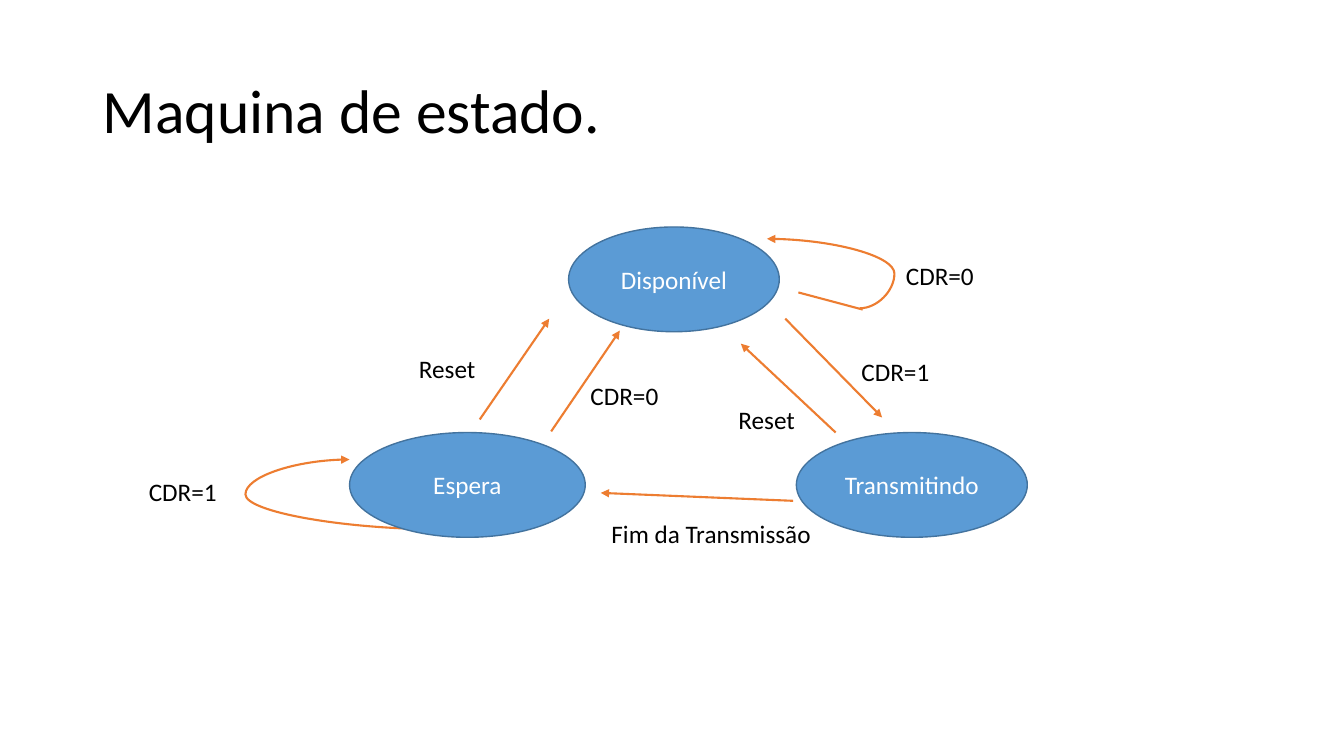
from lxml.etree import SubElement
from pptx import Presentation
from pptx.dml.color import RGBColor
from pptx.enum.shapes import MSO_CONNECTOR, MSO_SHAPE
from pptx.enum.text import MSO_ANCHOR, MSO_AUTO_SIZE, PP_ALIGN
from pptx.oxml.ns import qn
from pptx.util import Cm, Pt

COLORS = {"text": "000000", "light": "FFFFFF", "state": "5B9BD5",
          "edge": "43739E", "arrow": "ED7D31"}
FONT = "Calibri"

# Lengths in cm, measured from the corner of the diagram
STATES = [("Disponível", 10.83, 0, 5.31),
          ("Transmitindo", 16.57, 5.18, 5.82),
          ("Espera", 5.31, 5.18, 5.94)]
ARROWS = [((8.59, 4.85), (10.34, 2.31)),
          ((17.56, 5.18), (15.17, 2.94)),
          ((10.39, 5.15), (12.12, 2.61)),
          ((16.29, 2.31), (18.73, 4.8)),
          ((16.49, 6.9), (11.64, 6.7))]
STUB = ((18.24, 2.08), (16.62, 1.65))
LOOPS = [((18.17, 2.05), (15.83, 0.3), -37300),
         ((7.65, 7.62), (5.31, 5.86), 212100)]
LABELS = [("Reset", 6.81, 3.07, 1.96),
          ("CDR=0", 19.08, 0.71, 2.24),
          ("Reset", 14.86, 4.34, 1.96),
          ("CDR=1", 17.96, 3.14, 2.24),
          ("CDR=0", 11.13, 3.75, 2.24),
          ("CDR=1", 0, 6.17, 2.24),
          ("Fim da Transmissão", 11.66, 7.21, 5.59)]


def color(name):
    return RGBColor.from_string(COLORS[name])


def write(frame, text, size, ink):
    frame.text = text
    par = frame.paragraphs[0]
    par.font.name = FONT
    par.font.size = Pt(size)
    par.font.color.rgb = color(ink)
    return par


def add_title(slide, left, top, width, height):
    title = slide.shapes.title
    title.left, title.top = Cm(left), Cm(top)
    title.width, title.height = Cm(width), Cm(height)
    frame = title.text_frame
    frame.vertical_anchor = MSO_ANCHOR.MIDDLE
    par = write(frame, "Maquina de estado.", 44, "text")
    par.alignment = PP_ALIGN.LEFT
    par.line_spacing = 0.9


def add_state(slide, text, left, top, width):
    oval = slide.shapes.add_shape(MSO_SHAPE.OVAL, Cm(left), Cm(top),
                                  Cm(width), Cm(2.64))
    oval.shadow.inherit = False
    oval.fill.solid()
    oval.fill.fore_color.rgb = color("state")
    oval.line.color.rgb = color("edge")
    oval.line.width = Pt(1)
    oval.text_frame.vertical_anchor = MSO_ANCHOR.MIDDLE
    par = write(oval.text_frame, text, 18, "light")
    par.alignment = PP_ALIGN.CENTER


def add_label(slide, text, left, top, width):
    box = slide.shapes.add_textbox(Cm(left), Cm(top), Cm(width), Cm(1.02))
    box.text_frame.word_wrap = False
    box.text_frame.auto_size = MSO_AUTO_SIZE.SHAPE_TO_FIT_TEXT
    write(box.text_frame, text, 18, "text")


def add_line(slide, x, y, start, end, head=True, bend=None):
    """Draw a line from start to end; bend is the curve's adjustment."""
    kind = MSO_CONNECTOR.STRAIGHT if bend is None else MSO_CONNECTOR.CURVE
    line = slide.shapes.add_connector(
        kind, Cm(x + start[0]), Cm(y + start[1]),
        Cm(x + end[0]), Cm(y + end[1]))
    line.line.color.rgb = color("arrow")
    line.line.width = Pt(1.5)
    props = line._element.spPr
    if head:
        SubElement(props.find(qn("a:ln")), qn("a:tailEnd"), type="triangle")
    if bend is not None:
        guides = props.find(qn("a:prstGeom")).find(qn("a:avLst"))
        SubElement(guides, qn("a:gd"), name="adj1", fmla=f"val {bend}")
    SubElement(props, qn("a:effectLst"))


def add_diagram(slide, x, y):
    for start, end in ARROWS:
        add_line(slide, x, y, start, end)
    add_line(slide, x, y, *STUB, head=False)
    for start, end, bend in LOOPS:
        add_line(slide, x, y, start, end, bend=bend)
    for text, left, top, width in STATES:
        add_state(slide, text, x + left, y + top, width)
    for text, left, top, width in LABELS:
        add_label(slide, text, x + left, y + top, width)


def main():
    deck = Presentation()
    deck.slide_width, deck.slide_height = Cm(33.87), Cm(19.05)
    slide = deck.slides.add_slide(deck.slide_layouts[5])
    add_title(slide, 2.33, 1.01, 29.21, 3.68)
    add_diagram(slide, 3.5, 5.72)
    deck.save("out.pptx")


if __name__ == "__main__":
    main()
